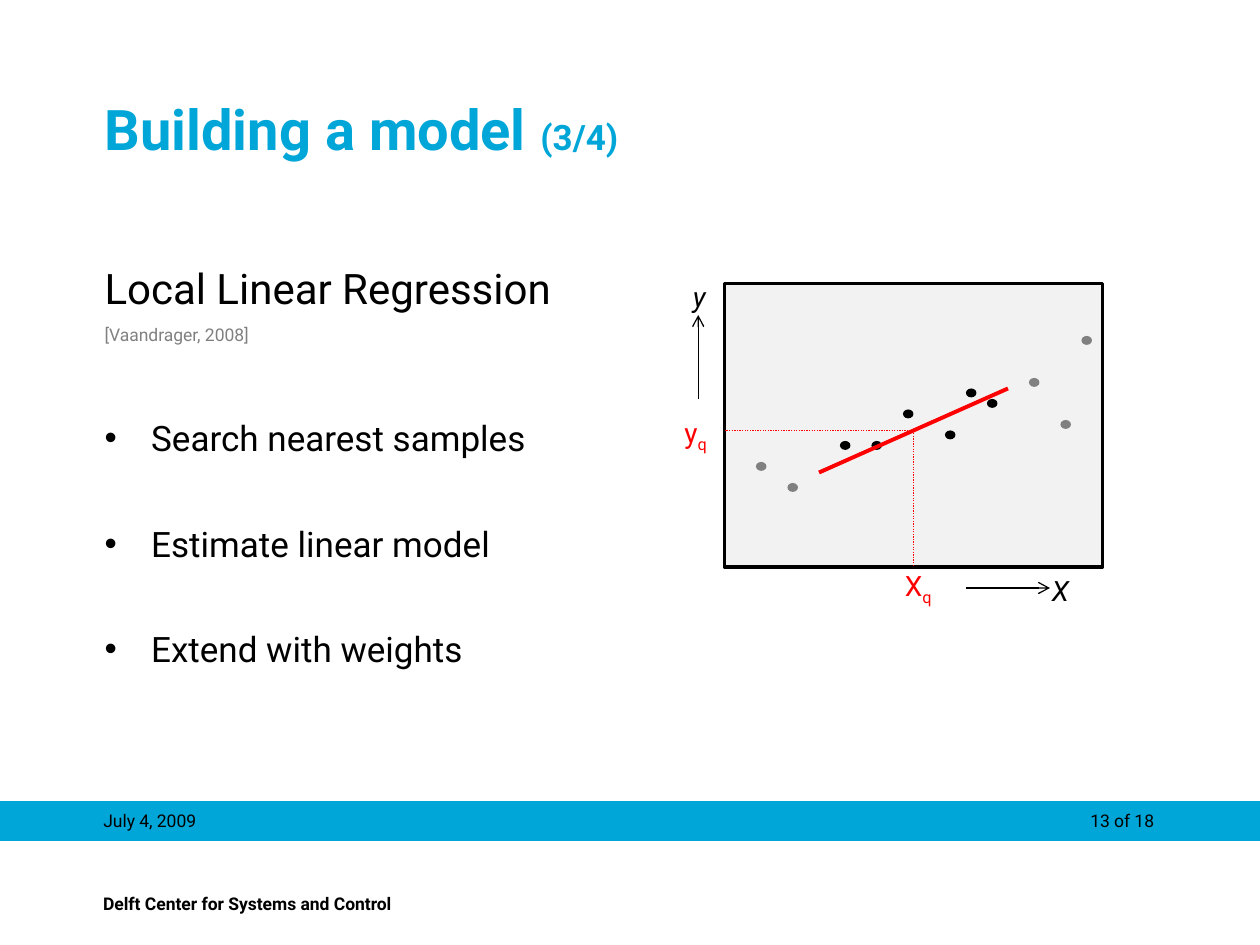
from dataclasses import dataclass
from lxml.etree import SubElement
from pptx import Presentation
from pptx.dml.color import RGBColor
from pptx.enum.dml import MSO_LINE_DASH_STYLE as Dash
from pptx.enum.shapes import MSO_CONNECTOR as Connector, MSO_SHAPE as Shape
from pptx.enum.text import MSO_ANCHOR as Anchor, MSO_AUTO_SIZE as AutoSize, PP_ALIGN as Align
from pptx.oxml.ns import qn
from pptx.util import Inches, Pt


@dataclass(frozen=True)
class Theme:
    font: str = "Roboto"
    cyan: str = "00A6D7"
    black: str = "000000"
    grey: str = "808080"
    pale: str = "F2F2F2"
    red: str = "FF0000"
    title: int = 32
    heading: int = 24
    bullet: int = 20
    label: int = 16
    small: int = 10
    spacing: float = 1.01


THEME = Theme()
WIDTH, HEIGHT = 10, 7.5
COLUMNS, ROWS = 36, 27
GREY_POINTS = [(3, 17), (6, 19), (29, 9), (32, 13), (34, 5)]
BLACK_POINTS = [(11, 15), (14, 15), (17, 12), (21, 14), (23, 10), (25, 11)]
QUERY = (18, 14)


def color(value):
    return RGBColor.from_string(value)


def place(shape, box):
    shape.left, shape.top, shape.width, shape.height = (Inches(length) for length in box)


def add_run(paragraph, text, size, ink=THEME.black, bold=False, italic=False, baseline=None):
    run = paragraph.add_run()
    run.text = text
    font = run.font
    font.name, font.size, font.bold, font.italic = THEME.font, Pt(size), bold, italic
    font.color.rgb = color(ink)
    if baseline:
        run._r.get_or_add_rPr().set("baseline", str(baseline))


def prepare_frame(shape, side=0.0, edge=0.0, anchor=Anchor.TOP):
    frame = shape.text_frame
    frame.word_wrap = True
    frame.auto_size = AutoSize.NONE
    frame.vertical_anchor = anchor
    frame.margin_left = frame.margin_right = Inches(side)
    frame.margin_top = frame.margin_bottom = Inches(edge)
    return frame


def add_text(slide, box, side=0.0, align=Align.LEFT):
    text_box = slide.shapes.add_textbox(*(Inches(length) for length in box))
    paragraph = prepare_frame(text_box, side, 0.05).paragraphs[0]
    paragraph.alignment = align
    paragraph.line_spacing = THEME.spacing
    return paragraph


def add_filled(slide, kind, box, fill, line=None, weight=0.75):
    shape = slide.shapes.add_shape(kind, *(Inches(length) for length in box))
    shape.shadow.inherit = False
    shape.fill.solid()
    shape.fill.fore_color.rgb = color(fill)
    if line:
        shape.line.color.rgb = color(line)
        shape.line.width = Pt(weight)
    else:
        shape.line.fill.background()


def add_line(slide, start, end, ink, weight=0.75, dash=None, arrow=False):
    connector = slide.shapes.add_connector(
        Connector.STRAIGHT, *(Inches(length) for length in (*start, *end)))
    connector.line.color.rgb = color(ink)
    connector.line.width = Pt(weight)
    if dash:
        connector.line.dash_style = dash
    if arrow:
        SubElement(connector.line._get_or_add_ln(), qn("a:tailEnd"), type="arrow")
    SubElement(connector._element.spPr, qn("a:effectLst"))


def set_bullet(paragraph, character=None):
    properties = paragraph._p.get_or_add_pPr()
    indent = Inches(0.37)
    properties.set("marL", str(indent))
    properties.set("indent", str(-indent))
    if character:
        bullet_color = SubElement(properties, qn("a:buClr"))
        SubElement(bullet_color, qn("a:srgbClr"), val=THEME.black)
        SubElement(properties, qn("a:buChar"), char=character)
    else:
        SubElement(properties, qn("a:buNone"))


def build_footer(slide, box):
    left, top, width, height = box
    add_filled(slide, Shape.RECTANGLE, box, THEME.cyan, THEME.cyan)
    text_width = 2.08
    date = add_text(slide, (left + 0.82, top + 0.02, text_width, height))
    add_run(date, "July 4, 2009", THEME.small)
    number = add_text(slide, (left + width - 0.84 - text_width, top + 0.02, text_width, height),
                      align=Align.RIGHT)
    add_run(number, "13 of 18", THEME.small)
    owner = add_text(slide, (left + 0.72, top + 0.68, 3.83, 0.26), side=0.1)
    add_run(owner, "Delft Center for Systems and Control", THEME.small, bold=True)


def build_title(slide, box):
    title = slide.shapes.title
    place(title, box)
    paragraph = prepare_frame(title, anchor=Anchor.MIDDLE).paragraphs[0]
    paragraph.alignment = Align.LEFT
    paragraph.line_spacing = THEME.spacing
    add_run(paragraph, "Building a model ", THEME.title, THEME.cyan, bold=True)
    add_run(paragraph, "(3/4)", THEME.bullet, THEME.cyan, bold=True)


def build_body(slide, box):
    body = slide.placeholders[1]
    place(body, box)
    frame = prepare_frame(body)
    items = [
        ("Local Linear Regression", THEME.heading, THEME.black, None, 0),
        ("[Vaandrager, 2008]", THEME.small, THEME.grey, None, 6),
        ("Search nearest samples", THEME.bullet, THEME.black, "•", 41),
        ("Estimate linear model", THEME.bullet, THEME.black, "•", 36),
        ("Extend with weights", THEME.bullet, THEME.black, "•", 36),
    ]
    for index, (text, size, ink, bullet, before) in enumerate(items):
        paragraph = frame.add_paragraph() if index else frame.paragraphs[0]
        set_bullet(paragraph, bullet)
        paragraph.alignment = Align.LEFT
        paragraph.line_spacing = THEME.spacing
        paragraph.space_before = Pt(before)
        add_run(paragraph, text, size, ink)


def build_plot(slide, box):
    left, top, width, height = box
    cell_width, cell_height = width / COLUMNS, height / ROWS

    def at(column, row):
        return left + column * cell_width, top + row * cell_height

    def add_label(column, row, text, ink, subscript=None):
        paragraph = add_text(slide, (*at(column, row), 6 * cell_width, 5 * cell_height), side=0.1)
        add_run(paragraph, text, THEME.label, ink, italic=not subscript)
        if subscript:
            add_run(paragraph, subscript, THEME.label, ink, baseline=-25000)

    add_filled(slide, Shape.RECTANGLE, box, THEME.pale, THEME.black, 2)
    for points, ink in ((GREY_POINTS, THEME.grey), (BLACK_POINTS, THEME.black)):
        for point in points:
            add_filled(slide, Shape.OVAL, (*at(*point), cell_width, 0.85 * cell_height), ink)
    add_line(slide, at(9, 18), at(27, 10), THEME.red, 2.25)
    for axis_end in ((QUERY[0], ROWS), (0, QUERY[1])):
        add_line(slide, at(*QUERY), at(*axis_end), THEME.red, dash=Dash.ROUND_DOT)
    add_line(slide, at(-2.5, 11), at(-2.5, 3), THEME.black, arrow=True)
    add_line(slide, at(23, 29), at(31, 29), THEME.black, arrow=True)
    add_label(16, 26.5, "X", THEME.red, "q")
    add_label(-5, 12, "y", THEME.red, "q")
    add_label(-4.2, -1, "y", THEME.black)
    add_label(30, 27, "X", THEME.black)


def main():
    presentation = Presentation()
    presentation.slide_width, presentation.slide_height = Inches(WIDTH), Inches(HEIGHT)
    slide = presentation.slides.add_slide(presentation.slide_layouts[1])
    build_footer(slide, (0, 6.36, WIDTH, 0.31))
    build_title(slide, (0.83, 0.44, 8.5, 1.15))
    build_body(slide, (0.83, 2.08, 4.67, 3.92))
    build_plot(slide, (0.575 * WIDTH, 0.3 * HEIGHT, 0.3 * WIDTH, 0.3 * HEIGHT))
    presentation.save("out.pptx")


if __name__ == "__main__":
    main()
